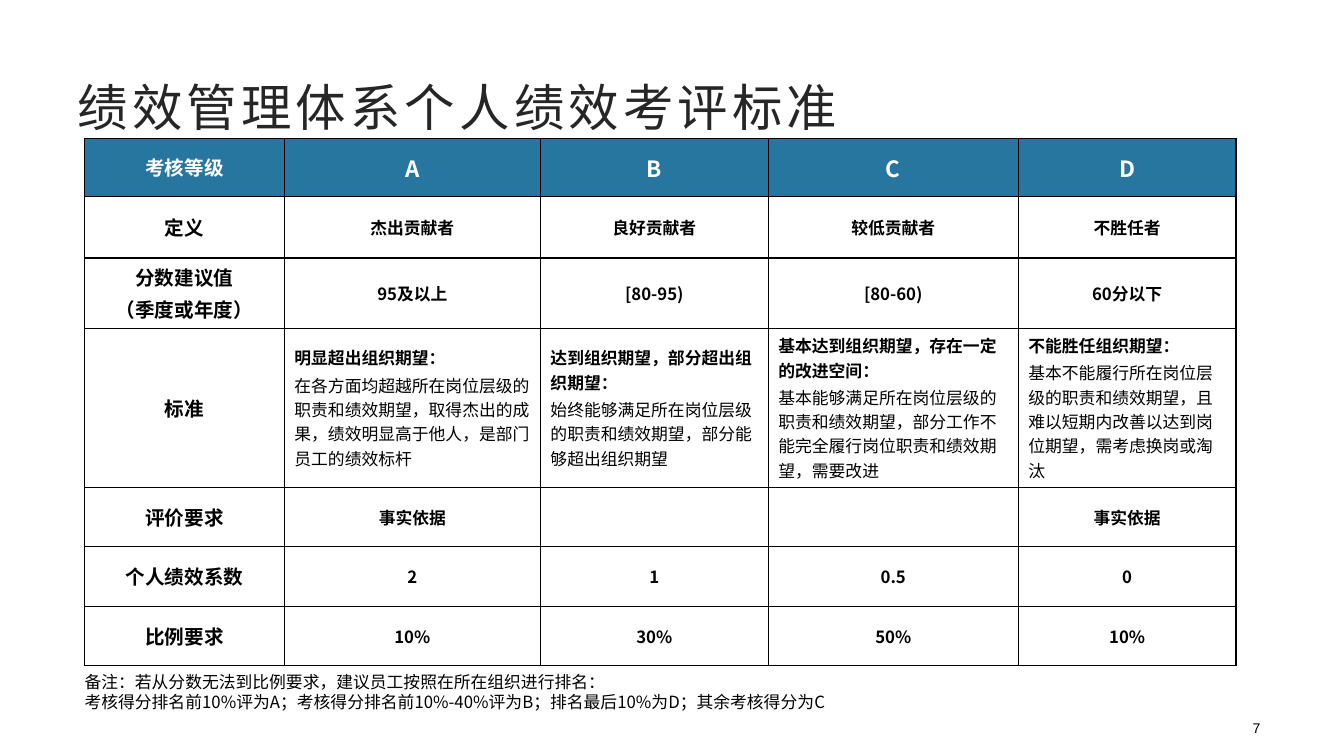
from lxml import etree
from pptx import Presentation
from pptx.dml.color import RGBColor
from pptx.enum.text import MSO_ANCHOR, MSO_AUTO_SIZE, PP_ALIGN
from pptx.oxml.ns import qn
from pptx.util import Pt

MID = MSO_ANCHOR.MIDDLE
FIXED = MSO_AUTO_SIZE.NONE
LEFT, MID_X, RIGHT = PP_ALIGN.LEFT, PP_ALIGN.CENTER, PP_ALIGN.RIGHT
JP, SC = "Noto Sans CJK JP", "Noto Sans CJK SC"
BLUE, WHITE, BLACK, GREY = "27769F", "FFFFFF", "000000", "262626"
SIDES = "lnL", "lnR", "lnT", "lnB"

COLS = 198, 254, 226, 248, 216
HEIGHTS = 58, 61, 67, 142, 59, 59, 59
GRADES = [
    ["考核等级", "A", "B", "C", "D"],
    ["定义", "杰出贡献者", "良好贡献者", "较低贡献者", "不胜任者"],
    ["分数建议值\n（季度或年度）", "95及以上", "[80-95)", "[80-60)", "60分以下"],
    ["标准",
     "明显超出组织期望：\n在各方面均超越所在岗位层级的职责和绩效期望，取得杰出的成果，绩效明显高于他人，是部门员工的绩效标杆",
     "达到组织期望，部分超出组织期望：\n始终能够满足所在岗位层级的职责和绩效期望，部分能够超出组织期望",
     "基本达到组织期望，存在一定的改进空间：\n基本能够满足所在岗位层级的职责和绩效期望，部分工作不能完全履行岗位职责和绩效期望，需要改进",
     "不能胜任组织期望：\n基本不能履行所在岗位层级的职责和绩效期望，且难以短期内改善以达到岗位期望，需考虑换岗或淘汰"],
    ["评价要求", "事实依据", "", "", "事实依据"],
    ["个人绩效系数", "2", "1", "0.5", "0"],
    ["比例要求", "10%", "30%", "50%", "10%"],
]
NOTE = ("备注：若从分数无法到比例要求，建议员工按照在所在组织进行排名：\n"
        "考核得分排名前10%评为A；考核得分排名前10%-40%评为B；排名最后10%为D；其余考核得分为C")


def px(n):
    return n * 9144


def color(code):
    return RGBColor.from_string(code)


class Page:
    """Draws styled elements on one slide."""

    def __init__(self, deck):
        self.slide = deck.slides.add_slide(deck.slide_layouts[5])

    def fill_in(self, frame, text, size, ink=BLACK, face=JP, bold=False,
                align=LEFT, gap=0, track=0):
        frame.text = text
        for i, para in enumerate(frame.paragraphs):
            para.alignment = align
            para.space_before = Pt(gap if i else 0)
            heavy = bold and (i == 0 or align != LEFT)
            for run in para.runs:
                style = {"size": Pt(size), "name": face, "bold": heavy}
                for key, value in style.items():
                    setattr(run.font, key, value)
                run.font.color.rgb = color(ink)
                props = run._r.get_or_add_rPr()
                props.set("lang", "zh-CN")
                if track:
                    props.set("spc", str(track * 100))
                etree.SubElement(props, qn("a:ea"), typeface=face)

    def place(self, shape, box):
        for key, value in zip(("left", "top", "width", "height"), box):
            setattr(shape, key, px(value))
        frame = shape.text_frame
        style = {"word_wrap": True, "auto_size": FIXED, "vertical_anchor": MID}
        for key, value in style.items():
            setattr(frame, key, value)
        return frame

    def title(self, text, box):
        frame = self.place(self.slide.shapes.title, box)
        self.fill_in(frame, text, 36, GREY, track=3)

    def text(self, text, box, size, **style):
        shape = self.slide.shapes.add_textbox(0, 0, 0, 0)
        self.fill_in(self.place(shape, box), text, size, **style)

    def border(self, cell):
        props = cell._tc.get_or_add_tcPr()
        for side in SIDES:
            line = etree.SubElement(props, qn("a:" + side), w=str(Pt(1)))
            fill = etree.SubElement(line, qn("a:solidFill"))
            etree.SubElement(fill, qn("a:srgbClr"), val=BLACK)

    def cell(self, cell, text, row, col):
        self.border(cell)
        cell.fill.solid()
        cell.fill.fore_color.rgb = color(WHITE if row else BLUE)
        cell.vertical_anchor = MID
        if text:
            size = 14 if col == 0 else 12 if row else 16
            align = LEFT if col and "\n" in text else MID_X
            self.fill_in(cell.text_frame, text, size, BLACK if row else WHITE,
                         bold=True, align=align, gap=2)

    def table(self, data, left, top, cols, rows):
        shape = self.slide.shapes.add_table(
            len(rows), len(cols), px(left), px(top), px(sum(cols)), px(sum(rows)))
        grid = shape.table
        grid.first_row = grid.horz_banding = False
        for col, width in zip(grid.columns, cols):
            col.width = px(width)
        for r, line in enumerate(data):
            grid.rows[r].height = px(rows[r])
            for c, text in enumerate(line):
                self.cell(grid.cell(r, c), text, r, c)


def main():
    deck = Presentation()
    deck.slide_width, deck.slide_height = px(1333), px(750)
    page = Page(deck)
    page.title("绩效管理体系个人绩效考评标准", (67, 67, 1200, 77))
    page.text("7", (942, 711, 318, 23), 10, face="Arial", align=RIGHT)
    page.table(GRADES, 84, 137, COLS, HEIGHTS)
    page.text(NOTE, (74, 658, 981, 56), 12, face=SC)
    deck.save("out.pptx")


if __name__ == "__main__":
    main()
